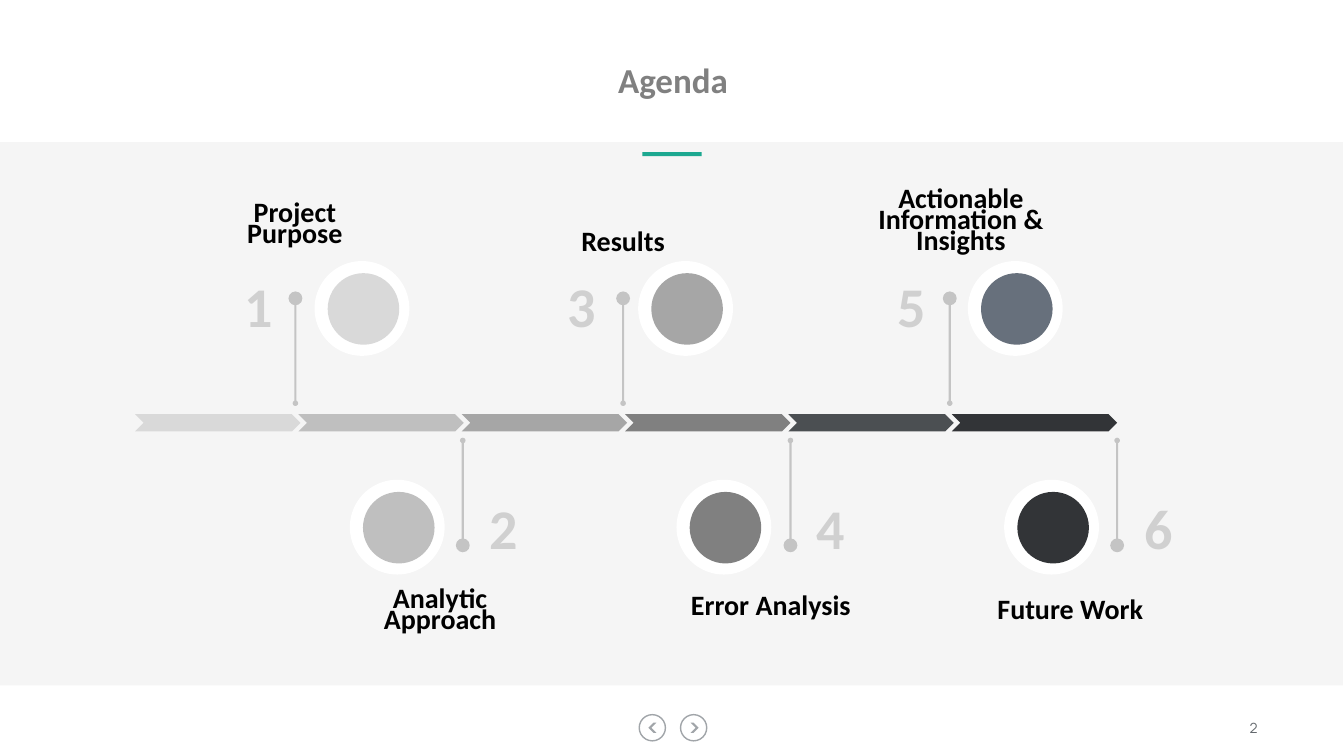
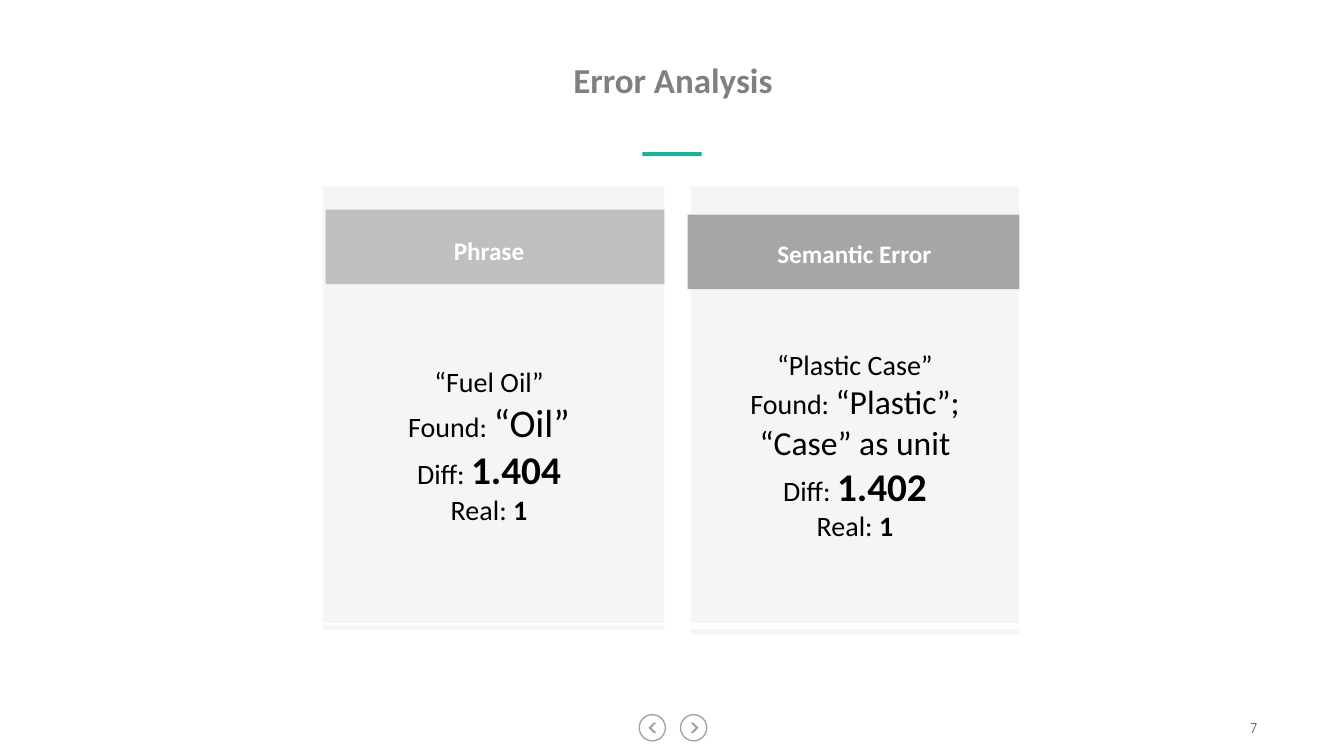
import pptx
import pptx.util
import pptx.dml.color
import pptx.enum.shapes
import pptx.enum.text
import pptx.oxml.ns
import lxml.etree

Inches = pptx.util.Inches
Pt = pptx.util.Pt
SHAPE = pptx.enum.shapes.MSO_SHAPE
ALIGN = pptx.enum.text.PP_ALIGN
MIDDLE = pptx.enum.text.MSO_ANCHOR.MIDDLE
qn = pptx.oxml.ns.qn

COLORS = {
    "black": "000000", "white": "FFFFFF", "accent": "1EAF96",
    "title": "808080", "control": "A1A5A9", "page_number": "64696E",
    "step_number": "D0D0D0", "light": "D9D9D9", "silver": "BFBFBF",
    "gray": "A6A6A6", "dark": "808080", "slate": "4B4F52",
    "charcoal": "323437", "blue_gray": "67707C",
}
FONT = "Calibri"
PAGE_FONT = "Manrope"
CHEVRON_FILLS = ["light", "silver", "gray", "dark", "slate", "charcoal"]
UPPER_STEPS = [
    ("1", "light", 2.93, 3.12, "Project Purpose", (2.09, 1.99, 1.67, 0.54)),
    ("3", "gray", 6.18, 6.33, "Results", (4.73, 2.28, 2.9, 0.33)),
    ("5", "blue_gray", 9.42, 9.6, "Actionable Information & Insights",
     (8.32, 1.85, 2.42, 0.75)),
]
LOWER_STEPS = [
    ("2", "silver", 4.59, 3.47, "Analytic Approach", (3.5, 5.82, 1.73, 0.54)),
    ("4", "dark", 7.84, 6.71, "Error Analysis", (6.65, 5.89, 1.99, 0.33)),
    ("6", "charcoal", 11.08, 9.96, "Future Work", (9.57, 5.93, 2.09, 0.33)),
]


def rgb(name):
    return pptx.dml.color.RGBColor.from_string(COLORS[name])


def set_opacity(element, percent):
    for color in element.iter(qn("a:srgbClr")):
        lxml.etree.SubElement(color, qn("a:alpha"), val=str(percent * 1000))


def add_shape(page, kind, box, fill=None, line=None, opacity=None):
    shape = page.shapes.add_shape(kind, *map(Inches, box))
    shape.shadow.inherit = False
    if fill:
        shape.fill.solid()
        shape.fill.fore_color.rgb = rgb(fill)
    else:
        shape.fill.background()
    if line:
        shape.line.color.rgb = rgb(line)
        shape.line.width = Pt(1)
    else:
        shape.line.fill.background()
    if opacity:
        set_opacity(shape.fill._xPr, opacity)
    return shape


def style_font(font, size, color, bold=False, name=FONT):
    font.name = name
    font.size = Pt(size)
    font.bold = bold
    font.color.rgb = rgb(color)


def add_text_frame(page, box):
    frame = page.shapes.add_textbox(*map(Inches, box)).text_frame
    frame.word_wrap = True
    frame.vertical_anchor = MIDDLE
    return frame


def add_text(page, box, text, size, color, align=ALIGN.CENTER, bold=True,
             name=FONT, spacing=None):
    para = add_text_frame(page, box).paragraphs[0]
    para.text = text
    para.alignment = align
    para.line_spacing = spacing
    style_font(para.font, size, color, bold, name)


def add_stem(page, x, start, end):
    stem = page.shapes.add_connector(
        pptx.enum.shapes.MSO_CONNECTOR.STRAIGHT,
        Inches(x), Inches(start), Inches(x), Inches(end))
    stem.line.color.rgb = rgb("black")
    stem.line.width = Pt(1.5)
    line = stem.line._get_or_add_ln()
    set_opacity(line, 20)
    for tag, size in (("a:headEnd", "sm"), ("a:tailEnd", "lg")):
        lxml.etree.SubElement(line, qn(tag), type="oval", w=size, len=size)
    lxml.etree.SubElement(stem._element.spPr, qn("a:effectLst"))


def add_page(deck, title, number):
    page = deck.slides.add_slide(deck.slide_layouts[5])
    heading = page.shapes.title
    heading.left, heading.top, heading.width, heading.height = map(
        Inches, (0.78, 0.55, 11.79, 0.53))
    heading.text_frame.text = title
    heading.text_frame.vertical_anchor = MIDDLE
    para = heading.text_frame.paragraphs[0]
    para.alignment = ALIGN.CENTER
    para.line_spacing = 0.9
    style_font(para.font, 25, "title", True)

    add_shape(page, SHAPE.RECTANGLE, (6.37, 1.51, 0.59, 0.04), "accent")
    for left, arrow_left, rotation in ((6.34, 6.43, 180), (6.75, 6.85, 0)):
        add_shape(page, SHAPE.OVAL, (left, 7.09, 0.26, 0.26), line="control")
        arrow = add_shape(page, SHAPE.CHEVRON,
                          (arrow_left, 7.17, 0.08, 0.1), "control")
        arrow.adjustments[0] = 0.63
        arrow.rotation = rotation
    add_text(page, (9.57, 7.09, 3, 0.26), number, 10, "page_number",
             ALIGN.RIGHT, False, PAGE_FONT)
    return page


def add_step(page, step, disc_top, stem_ends, number_shift, number_box, align):
    number, fill, stem_x, disc_left, label, label_box = step
    add_shape(page, SHAPE.OVAL, (disc_left, disc_top, 0.94, 0.94), "white")
    add_shape(page, SHAPE.OVAL,
              (disc_left + 0.13, disc_top + 0.12, 0.71, 0.71), fill)
    add_stem(page, stem_x, *stem_ends)
    number_top, number_width = number_box
    add_text(page, (disc_left + number_shift, number_top, number_width, 0.77),
             number, 40, "step_number", align)
    add_text(page, label_box, label, 20, "black", spacing=Pt(15))


def add_agenda(deck):
    page = add_page(deck, "Agenda", "2")
    add_shape(page, SHAPE.RECTANGLE, (-0.01, 1.41, 13.33, 5.39), "black",
              opacity=4)
    for index, fill in enumerate(CHEVRON_FILLS):
        add_shape(page, SHAPE.CHEVRON,
                  (1.34 + 1.62 * index, 4.11, 1.64, 0.17), fill)
    for step in UPPER_STEPS:
        add_step(page, step, 2.59, (4, 2.96), -1.25, (2.64, 0.93), ALIGN.RIGHT)
    for step in LOWER_STEPS:
        add_step(page, step, 4.76, (4.37, 5.41), 1.29, (4.84, 0.8), ALIGN.LEFT)


def add_findings(page, box, phrase, found, found_size, difference):
    frame = add_text_frame(page, box)
    lines = [
        [(phrase, 20, False)],
        [("Found: ", 20, False), (found, found_size, False)],
        [("Diff: ", 20, False), (difference, 28, True)],
        [("Real:", 20, False), (" 1", 20, True)],
    ]
    for index, line in enumerate(lines):
        para = frame.add_paragraph() if index else frame.paragraphs[0]
        para.alignment = ALIGN.CENTER
        for text, size, bold in line:
            span = para.add_run()
            span.text = text
            style_font(span.font, size, "black", bold)


def add_panel(page, left, width, header, fill, footer_top, label, label_box):
    add_shape(page, SHAPE.RECTANGLE, (left, 1.85, width, 4.33), "black",
              opacity=4)
    add_shape(page, SHAPE.RECTANGLE, header, fill)
    add_shape(page, SHAPE.RECTANGLE, (left, footer_top, width, 0.05), "black",
              opacity=4)
    add_text(page, label_box, label, 18, "white")


def add_error_analysis(deck):
    page = add_page(deck, "Error Analysis", "7")
    add_panel(page, 3.2, 3.39, (3.23, 2.08, 3.36, 0.74), "silver", 6.2,
              "Phrase", (3.29, 2.28, 3.12, 0.4))
    add_panel(page, 6.85, 3.26, (6.82, 2.13, 3.29, 0.74), "gray", 6.24,
              "Semantic Error", (6.84, 2.31, 3.27, 0.4))
    add_findings(page, (3.69, 3.56, 2.32, 1.72), "“Fuel Oil”",
                 "“Oil”", 28, "1.404")
    add_findings(page, (6.85, 3.39, 3.26, 2.05), "“Plastic Case”",
                 "“Plastic”; “Case” as unit", 24, "1.402")


def main():
    deck = pptx.Presentation()
    deck.slide_width = Inches(13.33)
    deck.slide_height = Inches(7.5)
    add_agenda(deck)
    add_error_analysis(deck)
    deck.save("out.pptx")


if __name__ == "__main__":
    main()
